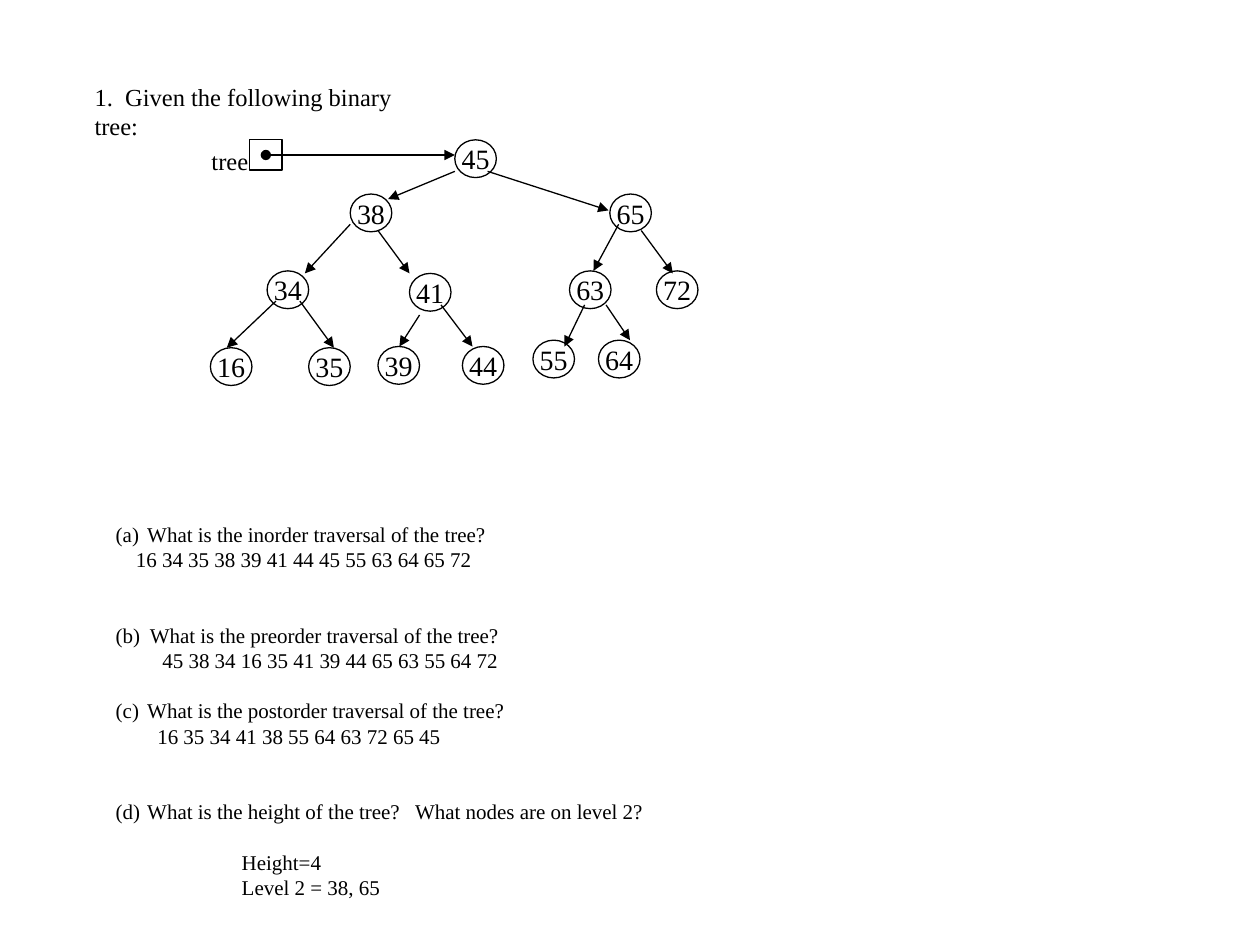
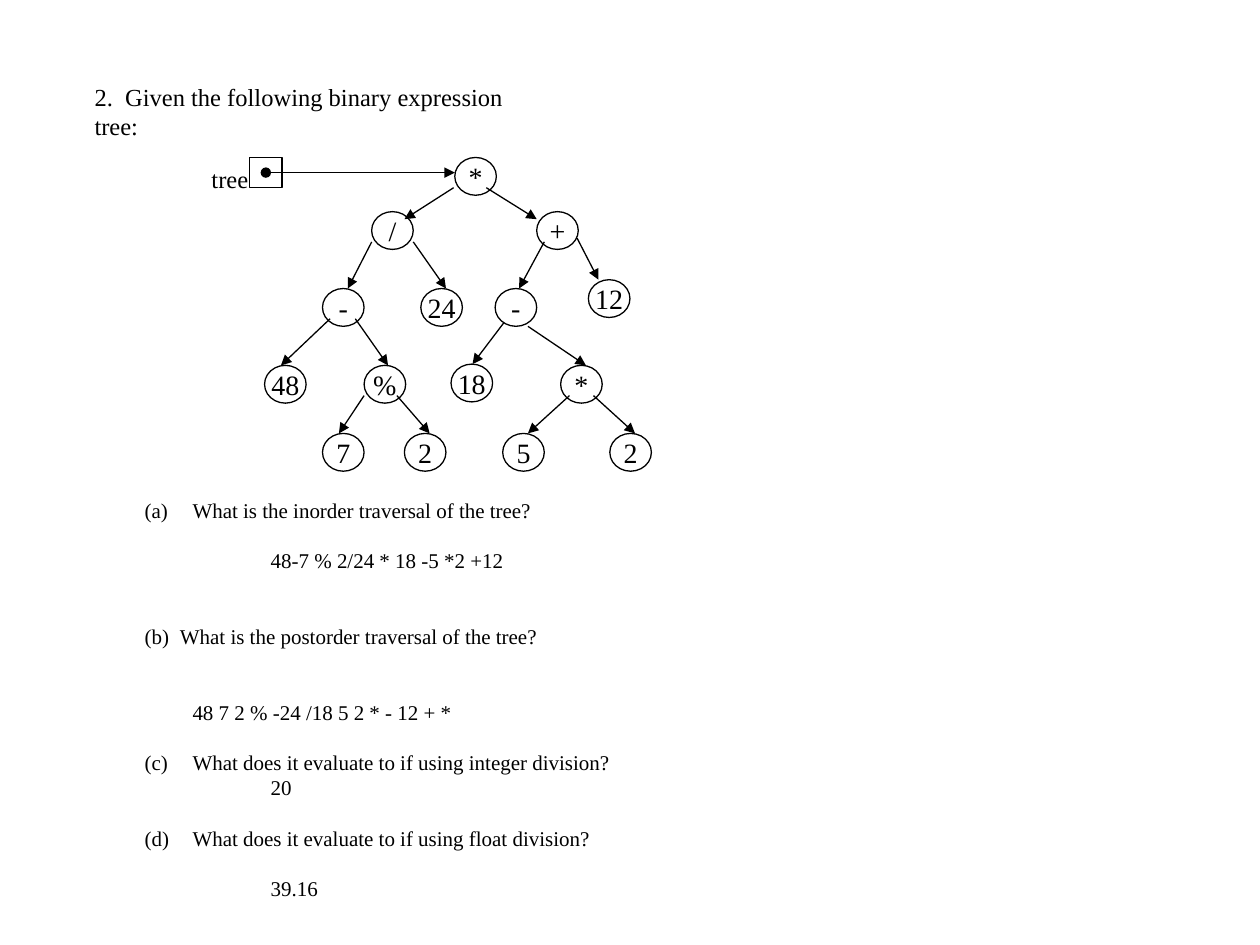
from lxml.etree import SubElement
from pptx import Presentation
from pptx.dml.color import RGBColor
from pptx.enum.shapes import MSO_CONNECTOR as LINK, MSO_SHAPE as SHAPE
from pptx.enum.text import MSO_ANCHOR as ANCHOR, MSO_AUTO_SIZE as FIT, PP_ALIGN as ALIGN
from pptx.oxml.ns import qn
from pptx.util import Inches, Pt

BLACK = RGBColor(0, 0, 0)
FACE = "Times New Roman"
ROW = 14.4
NODE = (0.33, 0.3)
ROOT = (2.03, 0)
PLAIN = {"word_wrap": True, "auto_size": FIT.NONE, "vertical_anchor": ANCHOR.TOP}
TIGHT = {"word_wrap": False, "vertical_anchor": ANCHOR.MIDDLE, "margin_left": 0,
         "margin_right": 0, "margin_top": 0, "margin_bottom": 0}

SEARCH = {
    "title": ("1.  Given the following binary tree:", 2.8),
    "tree": (1.58, 1.11),
    "root": "45",
    "nodes": [
        ("38", (1.2, 0.43), (2.03, 0.25), (1.5, 0.47)),
        ("65", (3.26, 0.43), (2.29, 0.25), (3.25, 0.56)),
        ("34", (0.54, 1.04), (1.2, 0.67), (0.84, 1.06)),
        ("41", (1.67, 1.06), (1.42, 0.72), (1.67, 1.06)),
        ("63", (2.94, 1.04), (3.33, 0.67), (3.13, 1.04)),
        ("72", (3.63, 1.04), (3.51, 0.72), (3.76, 1.06)),
        ("16", (0.09, 1.65), (0.61, 1.28), (0.22, 1.65)),
        ("35", (0.87, 1.65), (0.8, 1.28), (1.07, 1.65)),
        ("39", (1.42, 1.64), (1.75, 1.39), (1.59, 1.64)),
        ("44", (2.09, 1.64), (1.92, 1.31), (2.17, 1.64)),
        ("55", (2.65, 1.59), (3.06, 1.31), (2.9, 1.64)),
        ("64", (3.17, 1.59), (3.23, 1.31), (3.42, 1.59)),
    ],
    "box": (0.82, 4.09, 4.72, 3.13),
    "lines": [
        ("What is the inorder traversal of the tree?", 0.25, 0, 1),
        ("16 34 35 38 39 41 44 45 55 63 64 65 72", 0.16, 0, 0),
        ("(b)\tWhat is the preorder traversal of the tree?", 0.27, 2, 0),
        ("45 38 34 16 35 41 39 44 65 63 55 64 72", 0.37, 0, 0),
        ("What is the postorder traversal of the tree?", 0.25, 1, 3),
        ("16 35 34 41 38 55 64 63 72 65 45", 0.33, 0, 0),
        ("What is the height of the tree?   What nodes are on level 2?", 0.25, 2, 4),
        ("Height=4", 1, 1, 0),
        ("Level 2 = 38, 65", 1, 0, 0),
    ],
}

MATH = {
    "title": ("2.  Given the following binary expression tree:", 3.6),
    "tree": (1.58, 1.25),
    "root": "*",
    "nodes": [
        ("/", (1.37, 0.43), (2.02, 0.24), (1.63, 0.49)),
        ("+", (2.68, 0.43), (2.28, 0.24), (2.68, 0.49)),
        ("-", (0.98, 1.04), (1.37, 0.67), (1.18, 1.04)),
        ("24", (1.76, 1.04), (1.7, 0.67), (1.96, 1.04)),
        ("-", (2.35, 1.04), (2.74, 0.67), (2.54, 1.04)),
        ("12", (3.09, 0.97), (3, 0.64), (3.17, 0.97)),
        ("48", (0.52, 1.65), (1.04, 1.28), (0.65, 1.65)),
        ("%", (1.31, 1.65), (1.24, 1.28), (1.5, 1.65)),
        ("18", (2, 1.64), (2.42, 1.31), (2.17, 1.64)),
        ("*", (2.87, 1.65), (2.61, 1.34), (3.07, 1.65)),
        ("7", (0.98, 2.19), (1.31, 1.89), (1.11, 2.19)),
        ("2", (1.63, 2.19), (1.57, 1.89), (1.83, 2.19)),
        ("5", (2.41, 2.19), (2.94, 1.89), (2.61, 2.19)),
        ("2", (3.26, 2.19), (3.13, 1.89), (3.46, 2.19)),
    ],
    "box": (1.05, 3.9, 3.94, 3.53),
    "lines": [
        ("What is the inorder traversal of the tree?", 0.38, 0, 1),
        ("48-7 % 2/24 * 18 -5 *2 +12", 1, 1, 0),
        ("(b)\tWhat is the postorder traversal of the tree?", 0.28, 2, 0),
        ("48 7 2 % -24 /18 5 2 * - 12 + *", 0.38, 2, 0),
        ("What does it evaluate to if using integer division?", 0.38, 1, 3),
        ("20", 1, 0, 0),
        ("What does it evaluate to if using float division?", 0.38, 1, 4),
        ("39.16", 1, 1, 0),
    ],
}


def style(item, values):
    """Set each named value on the item."""
    for name, value in values.items():
        setattr(item, name, value)


def write(para, text, size, align=ALIGN.LEFT):
    """Put one run of black text in a paragraph."""
    para.alignment = align
    run = para.add_run()
    run.text = text
    style(run.font, {"name": FACE, "size": Pt(size), "bold": False})
    run.font.color.rgb = BLACK


def ink(line):
    """Give a line the shared pen."""
    line.color.rgb = BLACK
    line.width = Pt(0.75)


def shift(base, point):
    """Return a point of a region in slide lengths."""
    return [Inches(a + b) for a, b in zip(base, point)]


def draw(slide, kind, base, point, size):
    """Add an unfilled outline shape."""
    shape = slide.shapes.add_shape(kind, *shift(base, point), *map(Inches, size))
    shape.shadow.inherit = False
    shape.fill.background()
    ink(shape.line)
    return shape


def add_node(slide, base, text, point):
    """Add a tree node with its label."""
    frame = draw(slide, SHAPE.OVAL, base, point, NODE).text_frame
    style(frame, TIGHT)
    write(frame.paragraphs[0], text, 16, ALIGN.CENTER)


def add_arrow(slide, base, start, end, dot=False):
    """Add an arrow, with a dot at its start if asked."""
    link = slide.shapes.add_connector(LINK.STRAIGHT, *shift(base, start), *shift(base, end))
    ink(link.line)
    pen = link.line._get_or_add_ln()
    if dot:
        SubElement(pen, qn("a:headEnd"), type="oval")
    SubElement(pen, qn("a:tailEnd"), type="triangle")
    SubElement(pen.getparent(), qn("a:effectLst"))


def add_title(slide, text, width):
    """Place and fill the title."""
    title = slide.shapes.title
    style(title, {"left": Inches(0.65), "top": Inches(0.6),
                  "width": Inches(width), "height": Inches(0.57)})
    style(title.text_frame, PLAIN)
    para = title.text_frame.paragraphs[0]
    para.line_spacing = 1.0
    write(para, text, 14)


def add_tree(slide, base, root, nodes):
    """Draw the pointer, the root and the nodes below it."""
    draw(slide, SHAPE.RECTANGLE, base, (0.4, 0), (0.26, 0.24))
    label = slide.shapes.add_textbox(*shift(base, (0, 0)), Inches(0.49), Inches(0.33))
    label.text_frame.word_wrap = False
    write(label.text_frame.paragraphs[0], "tree", 14)
    add_arrow(slide, base, (0.53, 0.12), (ROOT[0], 0.12), True)
    add_node(slide, base, root, ROOT)
    for text, point, start, end in nodes:
        add_node(slide, base, text, point)
        add_arrow(slide, base, start, end)


def add_lines(slide, box, lines):
    """List the questions and answers in one text box."""
    frame = slide.shapes.add_textbox(*map(Inches, box)).text_frame
    style(frame, PLAIN)
    for i, (text, indent, gap, number) in enumerate(lines):
        para = frame.add_paragraph() if i else frame.paragraphs[0]
        para.space_before = Pt(gap * ROW)
        write(para, text, 12)
        props = para._p.get_or_add_pPr()
        hang = number or "\t" in text
        props.set("marL", str(Inches(indent)))
        props.set("indent", str(-Inches(indent) if hang else 0))
        if number:
            SubElement(props, qn("a:buFont"), typeface=FACE)
            SubElement(props, qn("a:buAutoNum"), type="alphaLcParenBoth", startAt=str(number))


def add_page(deck, page):
    """Build one exercise slide."""
    slide = deck.slides.add_slide(deck.slide_layouts[5])
    add_title(slide, *page["title"])
    add_lines(slide, page["box"], page["lines"])
    add_tree(slide, page["tree"], page["root"], page["nodes"])


def main():
    """Build and save the deck."""
    deck = Presentation()
    style(deck, {"slide_width": Inches(10), "slide_height": Inches(7.5)})
    for page in (SEARCH, MATH):
        add_page(deck, page)
    deck.save("out.pptx")


if __name__ == "__main__":
    main()
